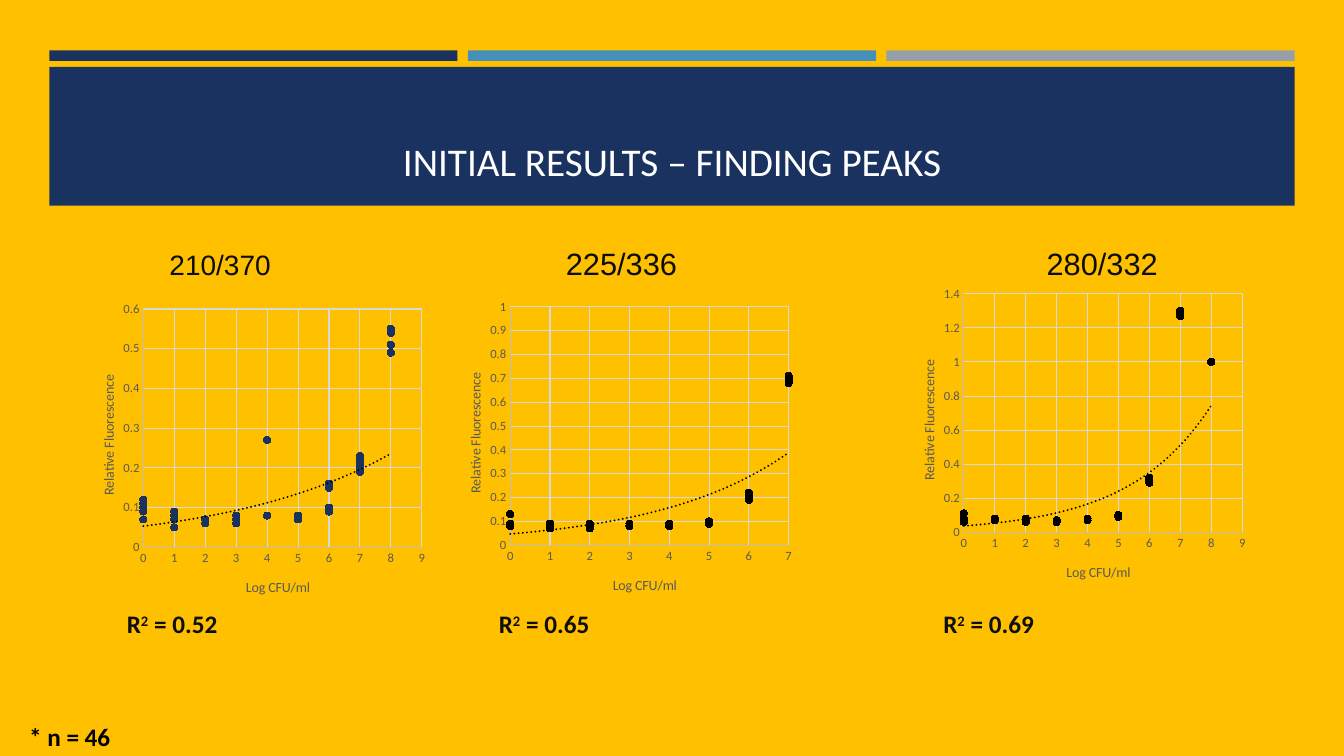
from lxml import etree
from pptx import Presentation
from pptx import util as u
from pptx.chart.data import XyChartData
from pptx.dml.color import RGBColor
from pptx.enum import chart as ch, shapes, text
from pptx.oxml import parse_xml
from pptx.oxml.ns import nsdecls, qn

C = dict(bg="FFC000", navy="1A3260", blue="4590B8", gray="969FA7", white="FFFFFF",
         ink="0D0D0D", black="000000", label="595959", axis="BFBFBF", grid="D9D9D9")
FONT = "Calibri"
TITLE = "INITIAL RESULTS – FINDING PEAKS"
NOTE = "* n = 46"
X_TITLE, Y_TITLE = "Log CFU/ml", "Relative Fluorescence"
BARS = ["navy", "blue", "gray"]

# (log CFU/ml, number of samples)
SAMPLES = [(8, 5), (7, 6), (6, 6), (5, 5), (4, 5), (3, 4), (2, 5), (1, 5), (0, 5)]
PEAKS = [
    dict(name="210/370", size=20, name_x=100.8, r2="0.52", r2_x=83.5, at=(54, 211.7),
         color="navy", limits={},
         vals=[0.49, 0.51, 0.54, 0.55, 0.51, 0.23, 0.21, 0.22, 0.2, 0.19, 0.2, 0.1,
               0.16, 0.1, 0.09, 0.09, 0.15, 0.08, 0.07, 0.08, 0.08, 0.08, 0.08, 0.08,
               0.08, 0.08, 0.27, 0.08, 0.06, 0.07, 0.07, 0.06, 0.06, 0.07, 0.07, 0.07,
               0.08, 0.09, 0.07, 0.05, 0.05, 0.07, 0.12, 0.11, 0.09, 0.1]),
    dict(name="225/336", size=22, name_x=387.4, r2="0.65", r2_x=349.2, at=(316, 210.2),
         color="black", limits=dict(x_max=7, y_min=0, y_max=1),
         vals=[1, 1, 1, 1, 1, 0.7, 0.68, 0.71, 0.69, 0.7, 0.71, 0.19,
               0.22, 0.2, 0.19, 0.2, 0.21, 0.09, 0.09, 0.1, 0.09, 0.09, 0.08, 0.08,
               0.08, 0.09, 0.08, 0.09, 0.08, 0.08, 0.08, 0.07, 0.07, 0.09, 0.08, 0.09,
               0.07, 0.09, 0.08, 0.09, 0.08, 0.09, 0.09, 0.08, 0.08, 0.13]),
    dict(name="280/332", size=22, name_x=730.8, r2="0.69", r2_x=666.7, at=(640, 200.9),
         color="black", limits=dict(y_min=0),
         vals=[1, 1, 1, 1, 1, 1.27, 1.29, 1.3, 1.27, 1.29, 1.29, 0.29,
               0.3, 0.29, 0.3, 0.31, 0.32, 0.1, 0.1, 0.09, 0.09, 0.1, 0.07, 0.07,
               0.08, 0.07, 0.08, 0.07, 0.06, 0.07, 0.07, 0.06, 0.06, 0.07, 0.07, 0.08,
               0.07, 0.07, 0.08, 0.07, 0.08, 0.08, 0.07, 0.06, 0.07, 0.11]),
]


def rgb(name):
    return RGBColor.from_string(C[name])


def style(font, size, color, bold=False):
    font.name, font.size, font.bold = FONT, u.Pt(size), bold
    font.color.rgb = rgb(color)


def add_rect(s, x, y, w, h, color):
    sp = s.shapes.add_shape(shapes.MSO_SHAPE.RECTANGLE, *map(u.Pt, (x, y, w, h)))
    sp.shadow.inherit = False
    sp.fill.solid()
    sp.fill.fore_color.rgb = rgb(color)
    sp.line.fill.background()


def add_text(s, x, y, w, h, runs, size, color, bold=False, centered=False):
    """Add a one-paragraph box; the second run, if any, is superscript."""
    tf = s.shapes.add_textbox(*map(u.Pt, (x, y, w, h))).text_frame
    tf.word_wrap = True
    p = tf.paragraphs[0]
    if centered:
        tf.vertical_anchor = text.MSO_ANCHOR.BOTTOM
        p.alignment = text.PP_ALIGN.CENTER
    style(p.font, size, color, bold)
    for i, words in enumerate(runs):
        r = p.add_run()
        r.text = words
        if i == 1:
            r.font._element.set("baseline", "30000")
    return p


def set_layout(parent, index, **fractions):
    """Fix a chart part at fractions of the chart area."""
    for old in parent.findall(qn("c:layout")):
        parent.remove(old)
    layout = parse_xml(f"<c:layout {nsdecls('c')}><c:manualLayout/></c:layout>")
    values = {"xMode": "edge", "yMode": "edge", **fractions}
    if "w" in fractions:
        values = {"layoutTarget": "inner", **values}
    for tag, value in values.items():
        etree.SubElement(layout[0], qn("c:" + tag)).set("val", str(value))
    parent.insert(index, layout)


def style_axis(axis, title, x, y, low, high):
    axis.minimum_scale, axis.maximum_scale = low, high
    axis.major_tick_mark = axis.minor_tick_mark = ch.XL_TICK_MARK.NONE
    axis.has_major_gridlines = True
    for line, color in ((axis.format.line, "axis"),
                        (axis.major_gridlines.format.line, "grid")):
        line.width = u.Pt(0.75)
        line.color.rgb = rgb(color)
    style(axis.tick_labels.font, 9, "label")
    axis.tick_labels.number_format = "General"
    axis.tick_labels.number_format_is_linked = False
    p = axis.axis_title.text_frame.paragraphs[0]
    p.text = title
    style(p.font, 10, "label")
    set_layout(axis.axis_title._element, 1, x=x, y=y)


def add_scatter(s, peak):
    data = XyChartData()
    points = data.add_series("Series 1")
    xs = [x for x, count in SAMPLES for _ in range(count)]
    for x, y in zip(xs, peak["vals"]):
        points.add_data_point(x, y)
    box = map(u.Pt, (*peak["at"], 255, 227))
    chart = s.shapes.add_chart(ch.XL_CHART_TYPE.XY_SCATTER, *box, data).chart
    chart.has_legend = chart.has_title = False
    style(chart.font, 10, "black")
    lim = peak["limits"].get
    style_axis(chart.category_axis, X_TITLE, 0.47, 0.88, lim("x_min"), lim("x_max"))
    style_axis(chart.value_axis, Y_TITLE, 0.06, 0.24, lim("y_min"), lim("y_max"))
    chart.category_axis.major_unit = 1
    set_layout(chart._chartSpace.chart.plotArea, 0, x=0.19, y=0.04, w=0.78, h=0.75)

    plot = chart.plots[0]
    plot.vary_by_categories = False
    series = plot.series[0]
    series.format.line.fill.background()
    series.marker.style, series.marker.size = ch.XL_MARKER_STYLE.CIRCLE, 5
    fmt = series.marker.format
    fmt.fill.solid()
    fmt.fill.fore_color.rgb = fmt.line.color.rgb = rgb(peak["color"])
    series._element.find(qn("c:xVal")).addprevious(parse_xml(
        f'<c:trendline {nsdecls("c", "a")}><c:spPr><a:ln w="{u.Pt(1.5)}" cap="rnd">'
        f'<a:solidFill><a:srgbClr val="{C["black"]}"/></a:solidFill>'
        '<a:prstDash val="sysDot"/></a:ln></c:spPr><c:trendlineType val="exp"/>'
        '<c:dispRSqr val="0"/><c:dispEq val="0"/></c:trendline>'))


def main():
    prs = Presentation()
    prs.slide_width, prs.slide_height = u.Pt(960), u.Pt(540)
    s = prs.slides.add_slide(prs.slide_layouts[6])
    s.background.fill.solid()
    s.background.fill.fore_color.rgb = rgb("bg")

    for i, color in enumerate(BARS):
        add_rect(s, 35.2 + i * 299, 36, 291.6, 7.5, color)
    add_rect(s, 35.2, 47.8, 889.6, 99.2, "navy")
    add_text(s, 46, 57.6, 868, 78, [TITLE], 28, "white", centered=True)

    for peak in PEAKS:
        p = add_text(s, peak["name_x"], 176.4, 113, 28, [peak["name"]], peak["size"],
                     "ink", centered=True)
        p._p.pPr.set("rtl", "1")
        etree.SubElement(p.font._element, qn("a:cs")).set("typeface", "Arial")
        add_scatter(s, peak)
        add_text(s, peak["r2_x"], 431.3, 95, 29, ["R", "2", " = " + peak["r2"]], 18,
                 "ink", bold=True)
    add_text(s, 13.7, 512, 106, 29, [NOTE], 18, "black", bold=True)
    prs.save("out.pptx")


if __name__ == "__main__":
    main()
